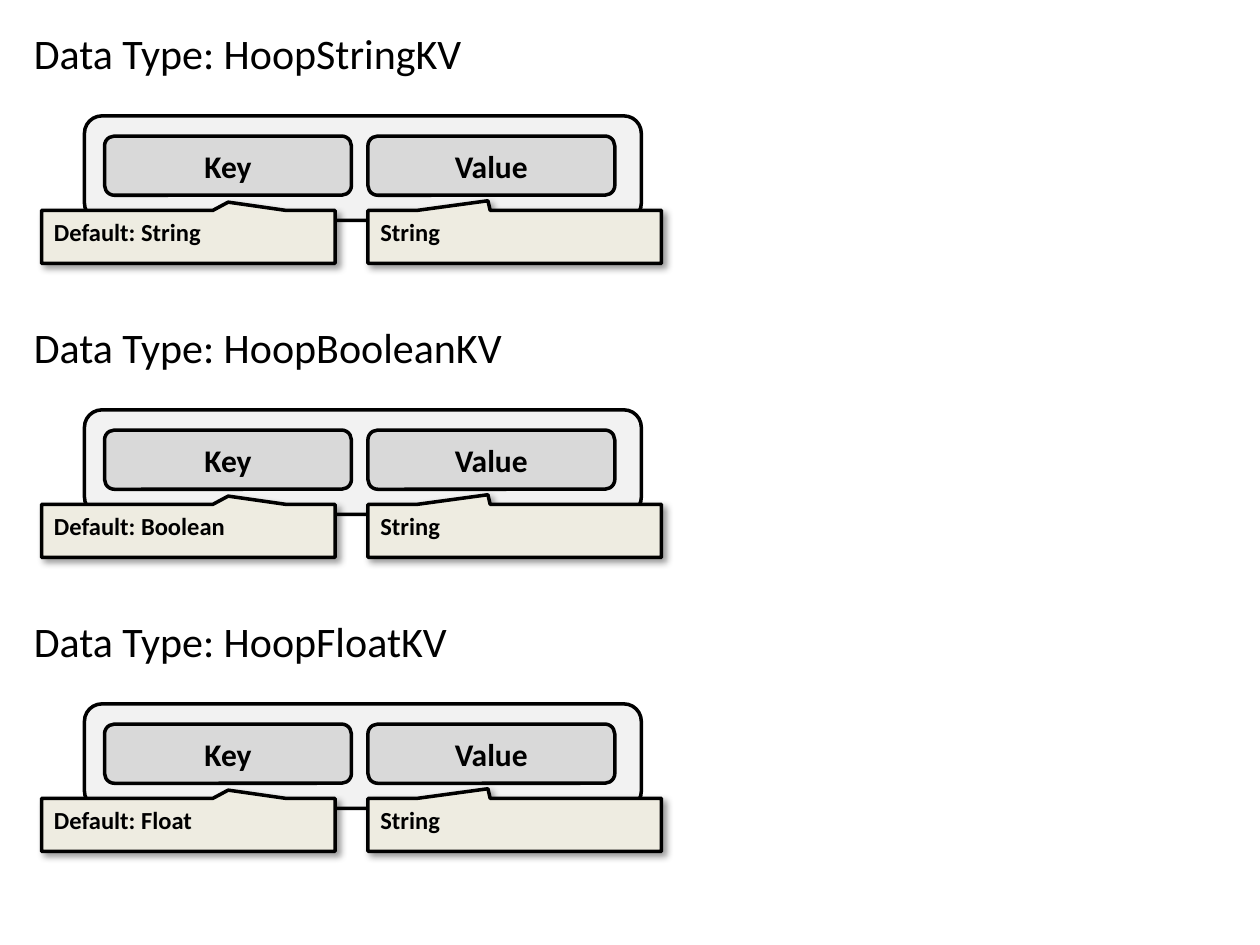
from lxml import etree
from pptx import Presentation
from pptx.dml.color import RGBColor
from pptx.enum.shapes import MSO_SHAPE
from pptx.enum.text import MSO_ANCHOR, MSO_AUTO_SIZE, PP_ALIGN
from pptx.oxml.ns import qn
from pptx.util import Inches, Pt

ROUNDED = MSO_SHAPE.ROUNDED_RECTANGLE
CALLOUT = MSO_SHAPE.RECTANGULAR_CALLOUT
TOP, MIDDLE = MSO_ANCHOR.TOP, MSO_ANCHOR.MIDDLE
LEFT, CENTER = PP_ALIGN.LEFT, PP_ALIGN.CENTER

# Content: type name, key type, value type
DATA_TYPES = [
    ("HoopStringKV", "Default: String", "String"),
    ("HoopBooleanKV", "Default: Boolean", "String"),
    ("HoopFloatKV", "Default: Float", "String"),
]
# Field label, field left, callout left, callout tip
FIELDS = [
    ("Key", 0.83, 0.33, (0.136, -0.657)),
    ("Value", 2.92, 2.92, (-0.091, -0.683)),
]
FIRST_TOP = 0.17
PITCH = 7 / 3
BLACK, FRAME, FIELD, NOTE = "000000", "F2F2F2", "D9D9D9", "EEECE1"


def color(value):
    return RGBColor.from_string(value)


def write(shape, text, size, bold=True, align=LEFT, anchor=TOP):
    frame = shape.text_frame
    frame.word_wrap = True
    frame.vertical_anchor = anchor
    para = frame.paragraphs[0]
    para.alignment = align
    span = para.add_run()
    span.text = text
    span.font.name = "Calibri"
    span.font.size = Pt(size)
    span.font.bold = bold
    span.font.color.rgb = color(BLACK)


def add_box(group, kind, left, top, width, height, fill):
    box = group.shapes.add_shape(
        kind, Inches(left), Inches(top), Inches(width), Inches(height))
    box.shadow.inherit = False
    box.fill.solid()
    box.fill.fore_color.rgb = color(fill)
    box.line.color.rgb = color(BLACK)
    box.line.width = Pt(2)
    return box


def add_shadow(box):
    effects = box._element.spPr.find(qn("a:effectLst"))
    shadow = etree.SubElement(
        effects, qn("a:outerShdw"), blurRad=str(Pt(4)), dist=str(Pt(3)),
        dir=str(45 * 60000), algn="tl", rotWithShape="0")
    tint = etree.SubElement(shadow, qn("a:srgbClr"), val=BLACK)
    etree.SubElement(tint, qn("a:alpha"), val="40000")


def add_data_type(page, top, name, *value_types):
    group = page.shapes.add_group_shape()
    add_box(group, ROUNDED, 0.67, top + 0.75, 4.42, 0.83, FRAME)

    # Key and value fields
    for label, left, _, _ in FIELDS:
        field = add_box(group, ROUNDED, left, top + 0.91, 1.96, 0.47, FIELD)
        write(field, label, 18, align=CENTER, anchor=MIDDLE)

    # Type callouts pointing at the fields
    for (_, _, left, tip), value_type in zip(FIELDS, value_types):
        note = add_box(group, CALLOUT, left, top + 1.5, 2.33, 0.42, NOTE)
        note.adjustments[0], note.adjustments[1] = tip
        add_shadow(note)
        write(note, value_type, 14)

    # Heading
    heading = group.shapes.add_textbox(
        Inches(0.17), Inches(top), Inches(4.33), Inches(0.5))
    write(heading, f"Data Type: {name}", 24, bold=False)
    heading.text_frame.auto_size = MSO_AUTO_SIZE.SHAPE_TO_FIT_TEXT


deck = Presentation()
deck.slide_width, deck.slide_height = Inches(10), Inches(7.5)
page = deck.slides.add_slide(deck.slide_layouts[6])
for row, data_type in enumerate(DATA_TYPES):
    add_data_type(page, FIRST_TOP + row * PITCH, *data_type)
deck.save("out.pptx")
